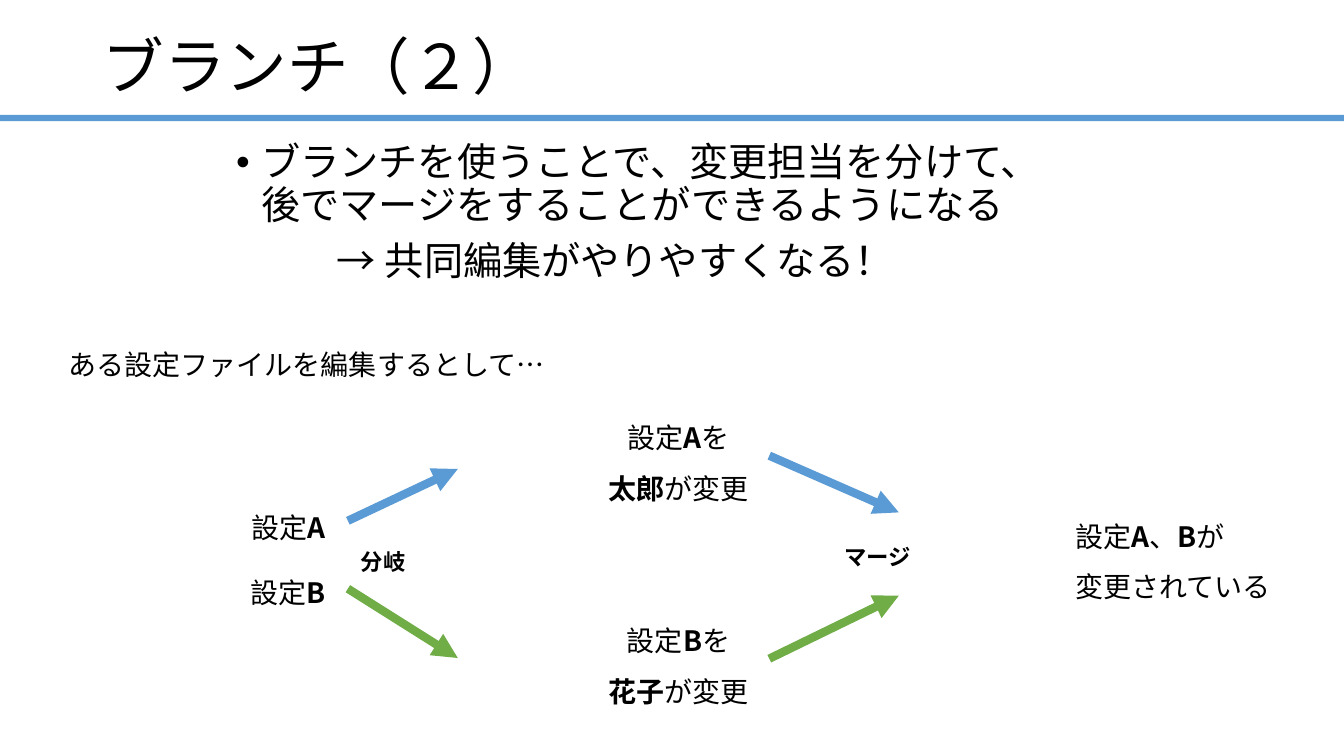
import dataclasses
import typing

import pptx
import pptx.dml.color
import pptx.enum.shapes
import pptx.enum.text
import pptx.oxml
import pptx.oxml.ns
import pptx.util

Pt = pptx.util.Pt
RGB = pptx.dml.color.RGBColor
ALIGN = pptx.enum.text.PP_ALIGN
ANCHOR = pptx.enum.text.MSO_ANCHOR

BLACK = RGB(0x00, 0x00, 0x00)
BLUE = RGB(0x5B, 0x9B, 0xD5)
GREEN = RGB(0x70, 0xAD, 0x47)
FONT = "Noto Sans CJK JP"
NS = 'xmlns:a="http://schemas.openxmlformats.org/drawingml/2006/main"'


class Span(typing.NamedTuple):
    text: str
    bold: bool = False


Line = tuple[Span, ...]


@dataclasses.dataclass(frozen=True)
class Label:
    left: float
    top: float
    width: float
    height: float
    lines: tuple[Line, ...]
    size: float = 20
    align: ALIGN = ALIGN.CENTER


@dataclasses.dataclass(frozen=True)
class Arrow:
    start: tuple[float, float]
    end: tuple[float, float]
    color: RGB
    source: str = ""


def element(xml: str) -> typing.Any:
    return pptx.oxml.parse_xml(xml)


def add_lines(p: typing.Any, lines: tuple[Line, ...], size: float) -> None:
    for number, line in enumerate(lines):
        if number:
            p.add_line_break()
        for span in line:
            r = p.add_run()
            r.text = span.text
            r.font.name = FONT
            r.font.size = Pt(size)
            r.font.bold = span.bold
            r.font.color.rgb = BLACK
            r.font._element.find(pptx.oxml.ns.qn("a:latin")).addnext(
                element(f'<a:ea {NS} typeface="{FONT}"/>'))


def place(sp: typing.Any, left: float, top: float, width: float, height: float) -> None:
    sp.left, sp.top, sp.width, sp.height = Pt(left), Pt(top), Pt(width), Pt(height)


def add_label(slide: typing.Any, label: Label) -> typing.Any:
    sp = slide.shapes.add_textbox(
        Pt(label.left), Pt(label.top), Pt(label.width), Pt(label.height))
    tf = sp.text_frame
    tf.word_wrap = True
    p = tf.paragraphs[0]
    p.alignment = label.align
    p.line_spacing = 1.5
    add_lines(p, label.lines, label.size)
    return sp


def add_arrow(slide: typing.Any, arrow: Arrow, boxes: dict[str, typing.Any]) -> None:
    sp = slide.shapes.add_connector(
        pptx.enum.shapes.MSO_CONNECTOR.STRAIGHT,
        *(Pt(v) for v in arrow.start + arrow.end))
    if arrow.source:
        sp.begin_connect(boxes[arrow.source], 3)
    sp.line.color.rgb = arrow.color
    sp.line.width = Pt(6)
    sp.line._get_or_add_ln().append(element(f'<a:tailEnd {NS} type="triangle"/>'))
    sp._element.spPr.append(element(f"<a:effectLst {NS}/>"))


def add_title(slide: typing.Any) -> None:
    sp = slide.shapes.title
    place(sp, 66, 17.5, 828, 64.5)
    tf = sp.text_frame
    tf.auto_size = pptx.enum.text.MSO_AUTO_SIZE.NONE
    tf.vertical_anchor = ANCHOR.MIDDLE
    p = tf.paragraphs[0]
    p.alignment = ALIGN.LEFT
    p.line_spacing = 0.9
    add_lines(p, ((Span("ブランチ（２）"),),), 44)


def add_body(slide: typing.Any) -> None:
    sp = slide.placeholders[1]
    place(sp, 161.5, 98.5, 621.5, 140.5)
    tf = sp.text_frame
    tf.auto_size = pptx.enum.text.MSO_AUTO_SIZE.NONE
    tf.vertical_anchor = ANCHOR.TOP
    paragraphs = (
        (18, -18, f'<a:buChar {NS} char="•"/>', 0,
         ((Span("ブランチを使うことで、変更担当を分けて、"),),
          (Span("後でマージをすることができるようになる"),))),
        (72, 0, f"<a:buNone {NS}/>", 10,
         ((Span("→ 共同編集がやりやすくなる！"),),)),
    )
    for number, (margin, indent, bullet, before, lines) in enumerate(paragraphs):
        p = tf.add_paragraph() if number else tf.paragraphs[0]
        pPr = p._p.get_or_add_pPr()
        pPr.set("marL", str(Pt(margin)))
        pPr.set("indent", str(Pt(indent)))
        pPr.append(element(bullet))
        p.alignment = ALIGN.LEFT
        p.line_spacing = 0.9
        p.space_before = Pt(before)
        add_lines(p, lines, 28)


def change(letter: str, person: str) -> tuple[Line, ...]:
    return ((Span("設定"), Span(letter, True), Span("を")),
            (Span(person, True), Span("が変更")))


LABELS = {
    "設定A": Label(164, 349, 84, 40, ((Span("設定"), Span("A", True)),)),
    "設定B": Label(164, 395.5, 84, 40, ((Span("設定"), Span("B", True)),)),
    "太郎": Label(420, 285, 129.5, 81, change("A", "太郎")),
    "花子": Label(420, 430, 129.5, 81, change("B", "花子")),
    "結果": Label(761, 355.5, 161.5, 81, (
        (Span("設定"), Span("A", True), Span("、"), Span("B", True), Span("が")),
        (Span("変更されている"),)), align=ALIGN.LEFT),
    "前提": Label(37.5, 232.5, 363, 40, ((Span("ある設定ファイルを編集するとして…"),),)),
    "マージ": Label(576, 375, 101.5, 40, ((Span("マージ", True),),), 16),
    "分岐": Label(223, 378.5, 101.5, 40, ((Span("分岐", True),),), 16),
}
ARROWS = (
    Arrow((248.5, 372), (327, 335), BLUE),
    Arrow((248.5, 420.5), (327, 470), GREEN),
    Arrow((549.5, 325.5), (642, 366), BLUE, "太郎"),
    Arrow((549.5, 470.5), (642, 425.5), GREEN, "花子"),
)


def main() -> None:
    prs = pptx.Presentation()
    prs.slide_width, prs.slide_height = Pt(960), Pt(540)
    slide = prs.slides.add_slide(prs.slide_layouts[1])
    bar = slide.shapes.add_shape(
        pptx.enum.shapes.MSO_SHAPE.RECTANGLE, Pt(0), Pt(82), Pt(960), Pt(4.5))
    bar.shadow.inherit = False
    bar.fill.solid()
    bar.fill.fore_color.rgb = BLUE
    bar.line.fill.background()
    add_title(slide)
    add_body(slide)
    boxes = {name: add_label(slide, label) for name, label in LABELS.items()}
    for arrow in ARROWS:
        add_arrow(slide, arrow, boxes)
    prs.save("out.pptx")


if __name__ == "__main__":
    main()
